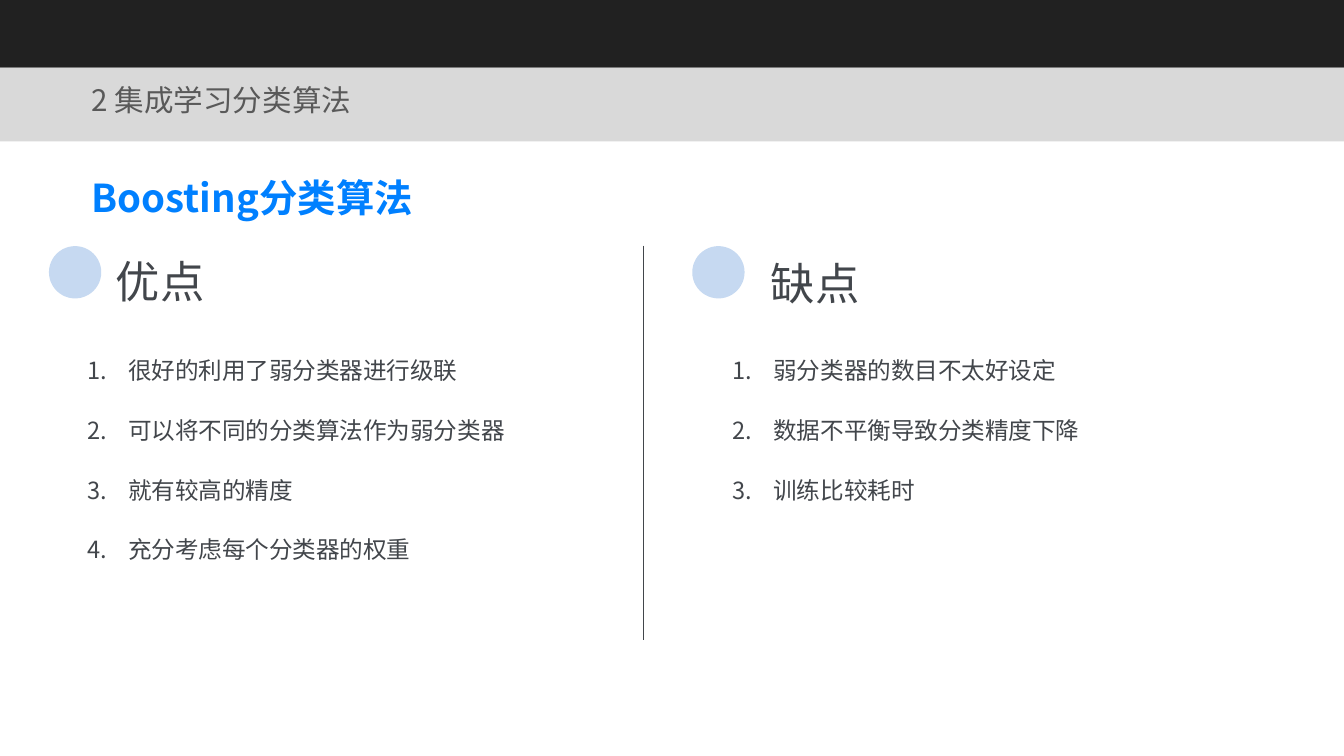
"""Build the slide on strengths and weaknesses of Boosting classifiers."""
from lxml import etree
from pptx import Presentation
from pptx import util as u
from pptx.dml.color import RGBColor
from pptx.enum import shapes, text
from pptx.oxml import ns

BLACK = RGBColor(0x21, 0x21, 0x21)
GREY = RGBColor(0xD9, 0xD9, 0xD9)
HEADER = RGBColor(0x59, 0x59, 0x59)
BLUE = RGBColor(0x00, 0x80, 0xFF)
PALE = RGBColor(0xC6, 0xD9, 0xF1)
INK = RGBColor(0x42, 0x46, 0x4B)
FONT = "Noto Sans CJK SC"
WIDTH, HEIGHT = 32.11, 18.06
INDENT = 0.97
RECT = shapes.MSO_SHAPE.RECTANGLE
OVAL = shapes.MSO_SHAPE.OVAL


class Deck:
    """Hold the style and the current slide."""

    def __init__(self):
        self.prs = Presentation()
        self.prs.slide_width = u.Cm(WIDTH)
        self.prs.slide_height = u.Cm(HEIGHT)
        self.s = self.prs.slides.add_slide(self.prs.slide_layouts[6])

    def shape(self, kind, x, y, w, h, color):
        """Draw a filled shape without outline."""
        sp = self.s.shapes.add_shape(kind, u.Cm(x), u.Cm(y), u.Cm(w), u.Cm(h))
        sp.shadow.inherit = False
        sp.fill.solid()
        sp.fill.fore_color.rgb = color
        sp.line.fill.background()

    def line(self, x1, y1, x2, y2):
        """Draw a thin straight line."""
        ends = [u.Cm(v) for v in (x1, y1, x2, y2)]
        sp = self.s.shapes.add_connector(shapes.MSO_CONNECTOR.STRAIGHT, *ends)
        sp.line.color.rgb = INK
        sp.line.width = u.Pt(0.5)
        etree.SubElement(sp._element.spPr, ns.qn("a:effectLst"))

    def text(self, x, y, w, h, lines, size, color=INK, bold=False, numbered=False):
        """Write one paragraph per line, numbered on request."""
        sp = self.s.shapes.add_textbox(u.Cm(x), u.Cm(y), u.Cm(w), u.Cm(h))
        tf = sp.text_frame
        tf.word_wrap = True
        tf.vertical_anchor = text.MSO_ANCHOR.TOP
        tf.margin_left = tf.margin_right = u.Cm(0.36)
        tf.margin_top = tf.margin_bottom = u.Cm(0.18)
        for i, line in enumerate(lines):
            p = tf.add_paragraph() if i else tf.paragraphs[0]
            if numbered:
                self.number(p)
                p.space_before = u.Pt(21.2 if i else 0)
            r = p.add_run()
            r.text = line
            r.font.size = u.Pt(size)
            r.font.bold = bold
            r.font.color.rgb = color
            r.font.name = FONT
            ea = etree.SubElement(r._r.get_or_add_rPr(), ns.qn("a:ea"))
            ea.set("typeface", FONT)

    def number(self, p):
        """Give a paragraph an automatic number and a hanging indent."""
        pPr = p._p.get_or_add_pPr()
        pPr.set("marL", str(u.Cm(INDENT)))
        pPr.set("indent", str(-u.Cm(INDENT)))
        bu = etree.SubElement(pPr, ns.qn("a:buAutoNum"))
        bu.set("type", "arabicPeriod")


def main():
    """Lay out the header, the divider and the two columns."""
    deck = Deck()
    deck.shape(RECT, 0, 0, WIDTH, 1.62, BLACK)
    deck.shape(RECT, 0, 1.62, WIDTH, 1.76, GREY)
    deck.text(1.83, 1.78, 8.86, 1.35, ["2 集成学习分类算法"], 20, HEADER)
    deck.text(1.83, 3.99, 10.13, 1.55, ["Boosting分类算法"], 26, BLUE, bold=True)
    deck.line(15.37, 5.87, 15.37, 15.29)

    columns = [
        ("优点", 1.17, 2.41, 5.89, 1.73, 13.64, 5.92,
         ["很好的利用了弱分类器进行级联", "可以将不同的分类算法作为弱分类器",
          "就有较高的精度", "充分考虑每个分类器的权重"]),
        ("缺点", 16.54, 18.06, 5.94, 17.15, 9.7, 4.32,
         ["弱分类器的数目不太好设定", "数据不平衡导致分类精度下降",
          "训练比较耗时"]),
    ]
    for title, dot_x, title_x, title_y, list_x, list_w, list_h, items in columns:
        deck.shape(OVAL, dot_x, 5.88, 1.25, 1.25, PALE)
        deck.text(title_x, title_y, 3.05, 1.83, [title], 30)
        deck.text(list_x, 8.33, list_w, list_h, items, 16, numbered=True)
    deck.prs.save("out.pptx")


if __name__ == "__main__":
    main()
